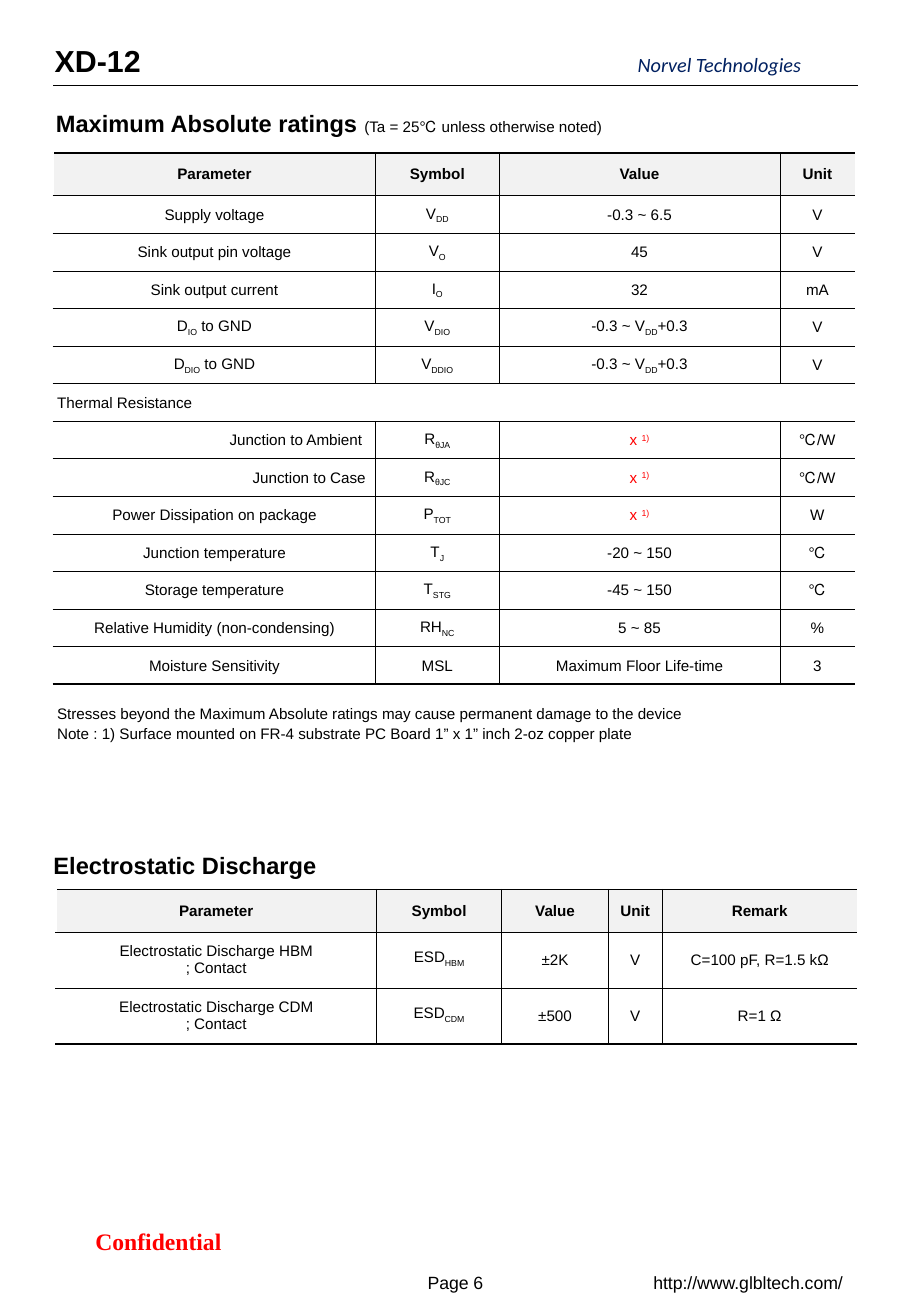
import pptx
import pptx.dml.color
import pptx.enum.dml
import pptx.enum.shapes
import pptx.enum.text
import pptx.oxml.ns
import pptx.util
from lxml import etree

Inches = pptx.util.Inches
Pt = pptx.util.Pt
RGBColor = pptx.dml.color.RGBColor
Align = pptx.enum.text.PP_ALIGN
Middle = pptx.enum.text.MSO_ANCHOR.MIDDLE
Top = pptx.enum.text.MSO_ANCHOR.TOP
qn = pptx.oxml.ns.qn

BLACK = RGBColor(0, 0, 0)
WHITE = RGBColor(255, 255, 255)
RED = RGBColor(255, 0, 0)
NAVY = RGBColor(0, 0x20, 0x60)
HEADER_GREY = RGBColor(0xF2, 0xF2, 0xF2)

THIN = (BLACK, 0.25)
THICK = (BLACK, 1)
HIDDEN = (WHITE, 1)

RATINGS = [
    ["Parameter", "Symbol", "Value", "Unit"],
    ["Supply voltage", "V_DD", "-0.3 ~ 6.5", "V"],
    ["Sink output pin voltage", "V_O", "45", "V"],
    ["Sink output current", "I_O", "32", "mA"],
    ["D_IO_ to GND", "V_DIO", "-0.3 ~ V_DD_+0.3", "V"],
    ["D_DIO_ to GND", "V_DDIO", "-0.3 ~ V_DD_+0.3", "V"],
    ["Thermal Resistance", "", "", ""],
    ["Junction to Ambient", "R_θJA", "x _1)", "℃/W"],
    ["Junction to Case", "R_θJC", "x _1)", "℃/W"],
    ["Power Dissipation on package", "P_TOT", "x _1)", "W"],
    ["Junction temperature", "T_J", "-20 ~ 150", "℃"],
    ["Storage temperature", "T_STG", "-45 ~ 150", "℃"],
    ["Relative Humidity (non-condensing)", "RH_NC", "5 ~ 85", "%"],
    ["Moisture Sensitivity", "MSL", "Maximum Floor Life-time", "3"],
]
DISCHARGE = [
    ["Parameter", "Symbol", "Value", "Unit", "Remark"],
    ["Electrostatic Discharge HBM\n; Contact", "ESD_HBM", "±2K", "V", "C=100 pF, R=1.5 kΩ"],
    ["Electrostatic Discharge CDM\n; Contact", "ESD_CDM", "±500", "V", "R=1 Ω"],
]


class Datasheet:
    def __init__(self, page, font="Arial"):
        self.page = page
        self.font = font

    def style(self, span, size, color=BLACK, bold=False, italic=False, font=None):
        span.font.name = font or self.font
        span.font.size = Pt(size)
        span.font.bold = bold
        span.font.italic = italic
        span.font.color.rgb = color

    def insets(self, target, left, top, right, bottom):
        target.margin_left = Inches(left)
        target.margin_top = Inches(top)
        target.margin_right = Inches(right)
        target.margin_bottom = Inches(bottom)

    def text(self, place, text, size, insets=(0.1, 0.05, 0.1, 0.05), align=Align.LEFT,
             anchor=Top, wrap=True, before=0, **look):
        box = self.page.shapes.add_textbox(*[Inches(length) for length in place])
        frame = box.text_frame
        frame.text = text
        frame.word_wrap = wrap
        frame.vertical_anchor = anchor
        self.insets(frame, *insets)
        for index, para in enumerate(frame.paragraphs):
            para.alignment = align
            if index and before:
                para.space_before = Pt(before)
            self.style(para.runs[0], size, **look)
        return frame

    def rule(self, left, top, right, width):
        line = self.page.shapes.add_connector(
            pptx.enum.shapes.MSO_CONNECTOR.STRAIGHT,
            Inches(left), Inches(top), Inches(right), Inches(top))
        line.line.color.rgb = BLACK
        line.line.width = Pt(width)
        etree.SubElement(line._element.spPr, qn("a:effectLst"))

    def borders(self, cell, **sides):
        properties = cell._tc.get_or_add_tcPr()
        for side in "LRTB":
            edge = etree.SubElement(properties, qn("a:ln" + side))
            if sides[side] is None:
                edge.set("w", "0")
                etree.SubElement(edge, qn("a:noFill"))
                continue
            color, width = sides[side]
            edge.set("w", str(Pt(width)))
            fill = etree.SubElement(edge, qn("a:solidFill"))
            etree.SubElement(fill, qn("a:srgbClr")).set("val", str(color))

    def cell(self, cell, text, header, insets, spacing):
        cell.vertical_anchor = Middle
        self.insets(cell, *insets)
        cell.text = text.replace("_", "")
        color = RED if text.startswith("x ") else BLACK
        shift = "30000" if color == RED else "-25000"
        for para, words in zip(cell.text_frame.paragraphs, text.split("\n")):
            para.text = ""
            para.alignment = Align.CENTER
            if spacing:
                para.line_spacing = Pt(spacing)
            for index, part in enumerate(words.split("_")):
                span = para.add_run()
                span.text = part
                self.style(span, 9, color, bold=header)
                if index % 2:
                    span.font._element.set("baseline", shift)

    def table(self, left, top, widths, heights, rows, insets, spacing=None):
        frame = self.page.shapes.add_table(
            len(rows), len(widths), Inches(left), Inches(top),
            Inches(sum(widths)), Inches(sum(heights)))
        table = frame.table
        table.first_row = False
        table.horz_banding = False
        for column, width in zip(table.columns, widths):
            column.width = Inches(width)
        last_row, last_column = len(rows) - 1, len(widths) - 1
        for y, texts in enumerate(rows):
            table.rows[y].height = Inches(heights[y])
            header = y == 0
            inner = THIN if texts[1] else None
            for x, text in enumerate(texts):
                cell = table.cell(y, x)
                self.cell(cell, text, header, (0, 0, 0, 0) if header else insets,
                          None if header else spacing)
                self.borders(cell,
                             L=inner if x else HIDDEN,
                             R=inner if x < last_column else None,
                             T=THICK if header else THIN,
                             B=THICK if y == last_row else THIN)
                if header:
                    cell.fill.solid()
                    cell.fill.fore_color.rgb = HEADER_GREY
                else:
                    cell.fill.background()
        return table


def main():
    deck = pptx.Presentation()
    deck.slide_width = Inches(7.5)
    deck.slide_height = Inches(10.83)
    sheet = Datasheet(deck.slides.add_slide(deck.slide_layouts[6]))
    heading = (0, 0.05, 0.1, 0.05)
    footer = dict(align=Align.CENTER, anchor=Middle)

    sheet.text((0.45, 0.3, 6.65, 0.4), "XD-12", 18, (0, 0.05, 0, 0.05), bold=True)
    sheet.text((5.25, 0.43, 1.6, 0.2), "Norvel Technologies", 12, (0, 0, 0, 0),
               wrap=False, color=NAVY, italic=True, font="Calibri")
    sheet.rule(0.44, 0.7, 7.06, 0.5)

    title = sheet.text((0.46, 0.85, 4.61, 0.34), "Maximum Absolute ratings ", 14, heading,
                       wrap=False, bold=True)
    condition = title.paragraphs[0].add_run()
    condition.text = "(Ta = 25℃ unless otherwise noted)"
    sheet.style(condition, 9)

    row_count = len(RATINGS) - 1
    ratings = sheet.table(0.44, 1.26, [2.65, 1.02, 2.31, 0.62],
                          [0.35] + [4.02 / row_count] * row_count,
                          RATINGS, (0.01, 0.01, 0.01, 0))
    for y, align, left, right in [(6, Align.LEFT, 0.03, 0), (7, Align.RIGHT, 0, 0.11),
                                  (8, Align.RIGHT, 0, 0.08)]:
        cell = ratings.cell(y, 0)
        sheet.insets(cell, left, 0.01, right, 0)
        cell.text_frame.paragraphs[0].alignment = align

    sheet.text((0.43, 5.78, 6.64, 0.33),
               "Stresses beyond the Maximum Absolute ratings may cause permanent damage to the device\n"
               "Note : 1) Surface mounted on FR-4 substrate PC Board 1” x 1” inch 2-oz copper plate",
               9, (0.04, 0.02, 0, 0), before=1)

    sheet.text((0.44, 6.95, 2.28, 0.34), "Electrostatic Discharge", 14, heading,
               wrap=False, bold=True)
    sheet.table(0.46, 7.32, [2.64, 1.03, 0.88, 0.44, 1.61], [0.35, 0.46, 0.46],
                DISCHARGE, (0.07, 0, 0.07, 0), spacing=10)

    sheet.text((0.34, 10.04, 1.93, 0.34), "Confidential", 14, color=RED, bold=True,
               font="Times New Roman", **footer)
    sheet.text((3.28, 10.38, 0.94, 0.34), "Page 6", 10.5, **footer)
    sheet.text((5.22, 10.38, 1.88, 0.34), "http://www.glbltech.com/", 10.5, **footer)
    deck.save("out.pptx")


if __name__ == "__main__":
    main()
